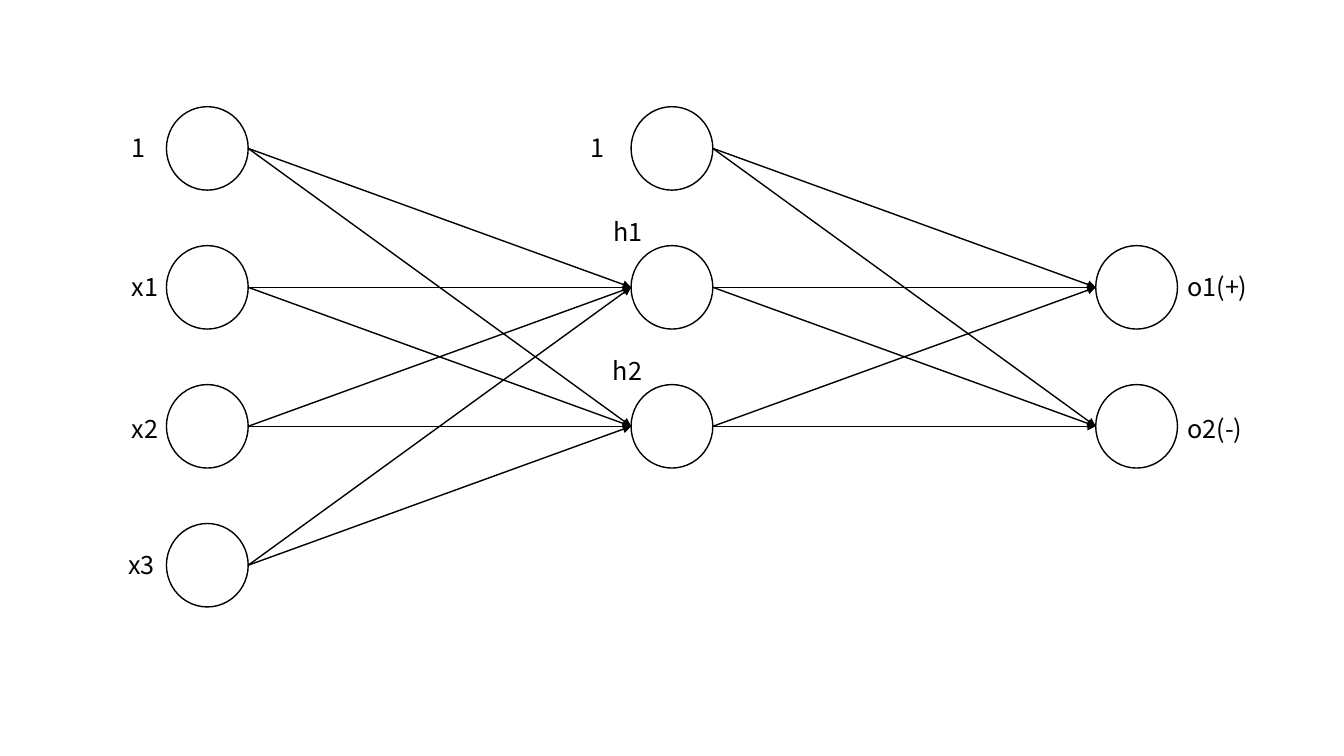
import dataclasses

import pptx
import pptx.dml.color
import pptx.enum.shapes
import pptx.enum.text
import pptx.oxml.ns
import pptx.util
from lxml import etree

Pt = pptx.util.Pt


@dataclasses.dataclass(frozen=True)
class Theme:
    ink: pptx.dml.color.RGBColor = pptx.dml.color.RGBColor(0, 0, 0)
    paper: pptx.dml.color.RGBColor = pptx.dml.color.RGBColor(255, 255, 255)
    font: str = "Noto Sans CJK KR"
    label_size: float = 18
    line_width: float = 1


LAYER_LEFT, LAYER_PITCH = 118.9, 331.9
ROW_CENTER, ROW_PITCH = 106, 99.25
NODE_WIDTH, NODE_HEIGHT = 58.4, 59.6
LABEL_HEIGHT = 29.3

# Rows that hold a node, for the input, hidden and output layers
LAYER_ROWS = [range(4), range(3), range(1, 3)]
TARGET_ROWS = range(1, 3)

# Text, left, top, width
LABELS = [
    ("1", 87.1, 90.7, 36),
    ("x1", 87.1, 190.3, 36),
    ("x2", 87.1, 291.6, 36),
    ("x3", 84.5, 388.8, 36),
    ("1", 414.9, 90.7, 36),
    ("h1", 431.2, 150.9, 36),
    ("h2", 430.6, 250.1, 36),
    ("o1(+)", 841, 190.3, 58.4),
    ("o2(-)", 841, 291.6, 58.4),
]


def layer_left(layer):
    return LAYER_LEFT + layer * LAYER_PITCH


def row_center(row):
    return ROW_CENTER + row * ROW_PITCH


def apply_format(target, values):
    for name, value in values.items():
        setattr(target, name, value)


class NetworkPage:
    def __init__(self, page, theme):
        self.shapes = page.shapes
        self.theme = theme

    def outline(self, line):
        line.color.rgb = self.theme.ink
        line.width = Pt(self.theme.line_width)

    def node(self, layer, row):
        circle = self.shapes.add_shape(
            pptx.enum.shapes.MSO_SHAPE.OVAL,
            Pt(layer_left(layer)), Pt(row_center(row) - NODE_HEIGHT / 2),
            Pt(NODE_WIDTH), Pt(NODE_HEIGHT))
        circle.shadow.inherit = False
        circle.fill.solid()
        circle.fill.fore_color.rgb = self.theme.paper
        self.outline(circle.line)

    def arrow(self, layer, start_row, end_row):
        """Link a node's right edge to the left edge of one in the next layer."""
        connector = self.shapes.add_connector(
            pptx.enum.shapes.MSO_CONNECTOR.STRAIGHT,
            Pt(layer_left(layer) + NODE_WIDTH), Pt(row_center(start_row)),
            Pt(layer_left(layer + 1)), Pt(row_center(end_row)))
        self.outline(connector.line)
        qn = pptx.oxml.ns.qn
        etree.SubElement(connector.line._get_or_add_ln(), qn("a:tailEnd"), type="triangle")
        etree.SubElement(connector._element.spPr, qn("a:effectLst"))

    def label(self, text, left, top, width):
        box = self.shapes.add_textbox(Pt(left), Pt(top), Pt(width), Pt(LABEL_HEIGHT))
        apply_format(box.text_frame, {
            "word_wrap": True,
            "auto_size": pptx.enum.text.MSO_AUTO_SIZE.SHAPE_TO_FIT_TEXT,
        })
        span = box.text_frame.paragraphs[0].add_run()
        span.text = text
        apply_format(span.font, {"name": self.theme.font, "size": Pt(self.theme.label_size)})
        span.font.color.rgb = self.theme.ink


def main():
    deck = pptx.Presentation()
    apply_format(deck, {"slide_width": Pt(960), "slide_height": Pt(540)})
    network = NetworkPage(deck.slides.add_slide(deck.slide_layouts[6]), Theme())

    for layer, rows in enumerate(LAYER_ROWS):
        for row in rows:
            network.node(layer, row)
    for layer, rows in enumerate(LAYER_ROWS[:-1]):
        for start_row in rows:
            for end_row in TARGET_ROWS:
                network.arrow(layer, start_row, end_row)
    for label in LABELS:
        network.label(*label)

    deck.save("out.pptx")


if __name__ == "__main__":
    main()
